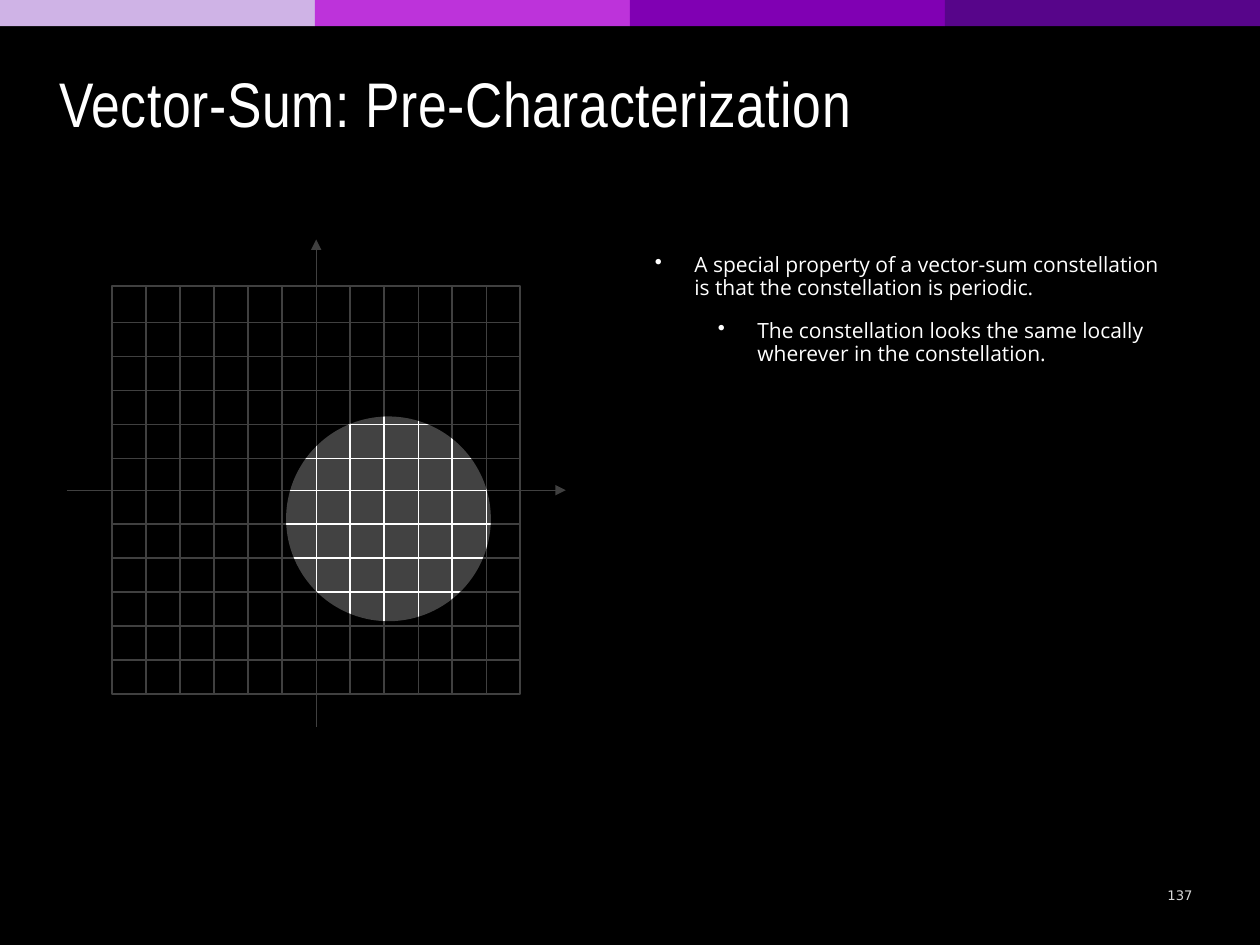
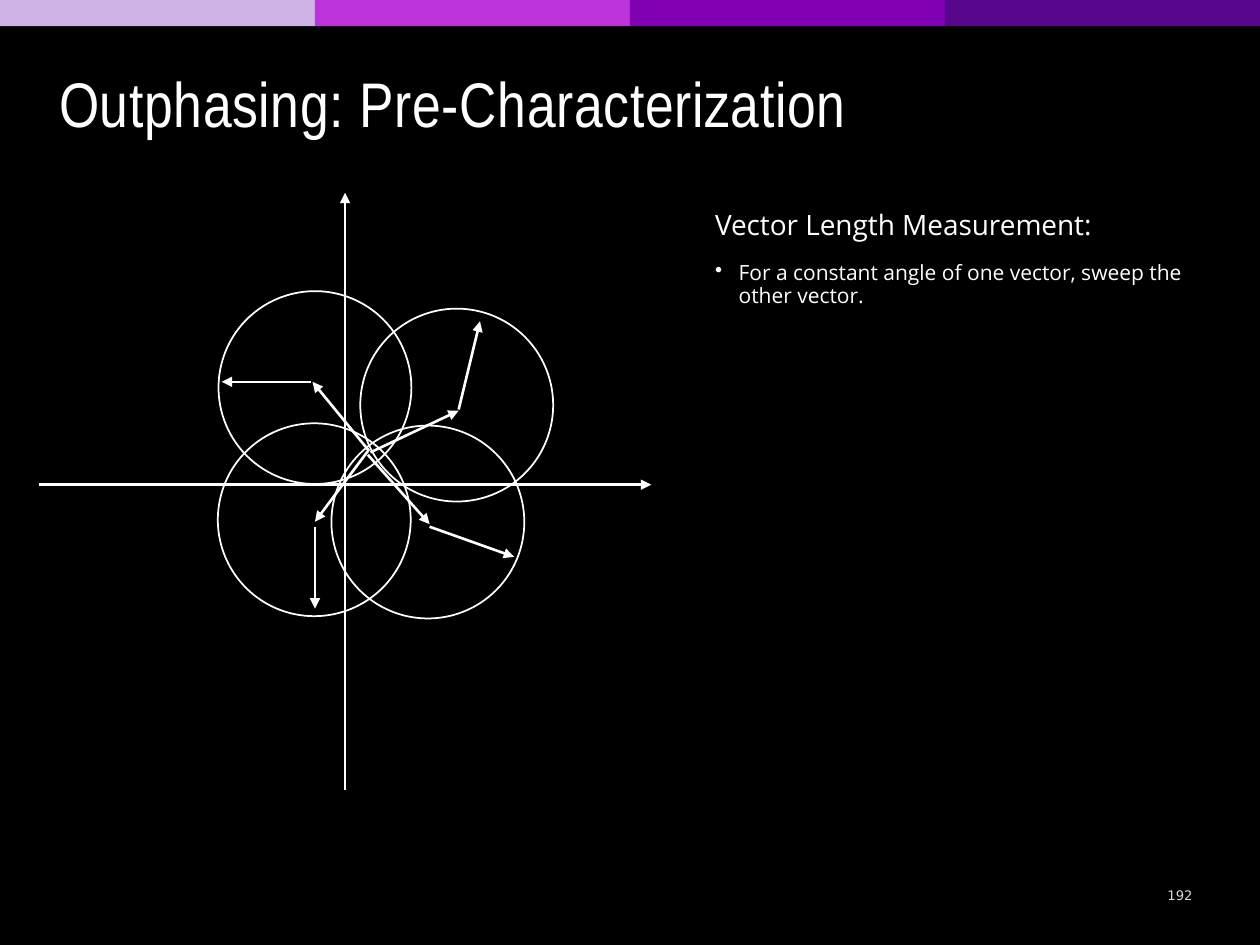
from dataclasses import dataclass
from math import cos, pi, sin

from lxml import etree
from pptx import Presentation
from pptx.dml.color import RGBColor
from pptx.enum.shapes import MSO_CONNECTOR, MSO_SHAPE
from pptx.enum.text import MSO_ANCHOR, MSO_AUTO_SIZE, PP_ALIGN
from pptx.oxml.ns import qn
from pptx.shapes.autoshape import Shape
from pptx.slide import Slide
from pptx.text.text import TextFrame
from pptx.util import Pt

STRAIGHT = MSO_CONNECTOR.STRAIGHT
RECTANGLE, OVAL = MSO_SHAPE.RECTANGLE, MSO_SHAPE.OVAL
MIDDLE, BOTTOM = MSO_ANCHOR.MIDDLE, MSO_ANCHOR.BOTTOM
FIT_SHAPE, NO_FIT = MSO_AUTO_SIZE.SHAPE_TO_FIT_TEXT, MSO_AUTO_SIZE.NONE
LEFT, CENTER = PP_ALIGN.LEFT, PP_ALIGN.CENTER

BLACK = RGBColor(0x00, 0x00, 0x00)
WHITE = RGBColor(0xFF, 0xFF, 0xFF)
PAGE_GRAY = RGBColor(0xD9, 0xD9, 0xD9)
BAND_COLORS = (
    RGBColor(0xCF, 0xB3, 0xE6),
    RGBColor(0xBD, 0x33, 0xDA),
    RGBColor(0x80, 0x00, 0xB3),
    RGBColor(0x57, 0x05, 0x8A),
)
TITLE_FONT, BODY_FONT, PAGE_FONT = "Arial Narrow", "Open Sans", "DejaVu Sans"
SLIDE_WIDTH, SLIDE_HEIGHT = 720, 540
TITLE_ONLY = 5

Point = tuple[float, float]


@dataclass(frozen=True)
class Box:
    left: float
    top: float
    width: float
    height: float

    def lengths(self) -> tuple[Pt, ...]:
        return tuple(Pt(v) for v in (self.left, self.top, self.width, self.height))


@dataclass(frozen=True)
class Statement:
    text: str
    size: float = 12
    indent: float = 0
    hang: float = 0
    level: int = 0


@dataclass(frozen=True)
class VectorPair:
    circle: Point
    first: tuple[Point, Point]
    second: tuple[Point, Point]


CIRCLE_SIZE = 110.2
VECTOR_PAIRS = (
    VectorPair((205.9, 176.4), ((211.7, 258.5), (262.1, 234.7)), ((262.1, 234), (274.3, 183.6))),
    VectorPair((124.9, 166.4), ((211, 257.8), (178.6, 218.2)), ((177.8, 218.2), (126.7, 218.2))),
    VectorPair((124.5, 241.9), ((210.2, 257.8), (180, 298.1)), ((180, 301), (180, 347.8))),
    VectorPair((189.4, 243.2), ((210.2, 259.9), (245.5, 299.5)), ((245.5, 301), (293.8, 318.2))),
)


# Text
def write(frame: TextFrame, text: str, *, size: float, font: str = BODY_FONT,
          color: RGBColor = WHITE, align: PP_ALIGN = LEFT, level: int = 0,
          indent: float = 0, hang: float = 0, line_spacing: float = 1,
          space_before: float = 0, tracking: int = 0) -> None:
    """Fill the empty first paragraph, or add one after it."""
    first = not frame.text
    paragraph = frame.paragraphs[0] if first else frame.add_paragraph()
    if hang:
        properties = paragraph._p.get_or_add_pPr()
        properties.set("marL", str(Pt(indent)))
        properties.set("indent", str(-Pt(hang)))
        etree.SubElement(properties, qn("a:buChar")).set("char", "•")
    paragraph.level = level
    paragraph.alignment = align
    paragraph.line_spacing = line_spacing
    paragraph.space_before = Pt(0 if first else space_before)
    run = paragraph.add_run()
    run.text = text
    run.font.name, run.font.size = font, Pt(size)
    run.font.color.rgb = color
    if tracking:
        run._r.get_or_add_rPr().set("spc", str(tracking))


def add_statements(slide: Slide, box: Box, statements: tuple[Statement, ...]) -> None:
    frame = slide.shapes.add_textbox(*box.lengths()).text_frame
    frame.word_wrap = True
    frame.auto_size = FIT_SHAPE
    for item in statements:
        write(frame, item.text, size=item.size, level=item.level, indent=item.indent,
              hang=item.hang, line_spacing=0.9, space_before=12)


# Shapes and lines
def paint(shape: Shape, fill: RGBColor | None = None, opacity: int = 100,
          line: RGBColor | None = None) -> None:
    shape.shadow.inherit = False
    if fill is None:
        shape.fill.background()
    else:
        shape.fill.solid()
        shape.fill.fore_color.rgb = fill
        if opacity < 100:
            color = shape._element.spPr.find(f"{qn('a:solidFill')}/{qn('a:srgbClr')}")
            etree.SubElement(color, qn("a:alpha")).set("val", str(opacity * 1000))
    if line is None:
        shape.line.fill.background()
    else:
        shape.line.color.rgb = line
        shape.line.width = Pt(1)


def add_line(slide: Slide, start: Point, end: Point, width: float = 1,
             arrow: bool = False) -> None:
    connector = slide.shapes.add_connector(STRAIGHT, *(Pt(v) for v in (*start, *end)))
    connector.line.color.rgb = WHITE
    connector.line.width = Pt(width)
    properties = connector._element.spPr
    if arrow:
        etree.SubElement(properties.find(qn("a:ln")), qn("a:tailEnd")).set("type", "triangle")
    etree.SubElement(properties, qn("a:effectLst"))


def add_axes(slide: Slide, origin: Point, x_range: Point, y_range: Point,
             width: float) -> None:
    x, y = origin
    add_line(slide, (x_range[0], y), (x_range[1], y), width, arrow=True)
    add_line(slide, (x, y_range[0]), (x, y_range[1]), width, arrow=True)


# Parts that both slides share
def add_slide(prs: Presentation, title: str, page: str) -> Slide:
    slide = prs.slides.add_slide(prs.slide_layouts[TITLE_ONLY])
    band_width = SLIDE_WIDTH / len(BAND_COLORS)
    for i, color in enumerate(BAND_COLORS):
        band = slide.shapes.add_shape(
            RECTANGLE, *Box(i * band_width, 0, band_width, 15).lengths())
        paint(band, color)

    heading = slide.shapes.title
    heading.left, heading.top, heading.width, heading.height = Box(33.8, 36, 622, 47.5).lengths()
    frame = heading.text_frame
    frame.margin_left, frame.margin_right = Pt(0), Pt(7.2)
    frame.margin_top = frame.margin_bottom = Pt(3.6)
    frame.vertical_anchor = BOTTOM
    frame.auto_size = NO_FIT
    frame.word_wrap = True
    write(frame, title, size=36, font=TITLE_FONT, tracking=40)

    number = slide.shapes.add_textbox(*Box(658.1, 501.8, 32.4, 19.4).lengths()).text_frame
    number.word_wrap = True
    number.vertical_anchor = MIDDLE
    write(number, page, size=7.5, font=PAGE_FONT, color=PAGE_GRAY, align=CENTER)
    return slide


# Constellation grid
def add_grid(slide: Slide, box: Box) -> None:
    paint(slide.shapes.add_shape(RECTANGLE, *box.lengths()), line=WHITE)
    right, bottom = box.left + box.width, box.top + box.height
    step = box.width / 12
    for first_row in (184.3, 299.5):
        for i in range(5):
            y = first_row + i * step
            add_line(slide, (box.left, y), (right, y))
    for i in range(1, 12):
        if i != 6:  # the vertical axis stands here
            x = box.left + i * step
            add_line(slide, (x, box.top), (x, bottom))


def add_spotlight(slide: Slide, shade: Box, lens: Box) -> None:
    """Dim everything in the shade except a round lens."""
    radius = lens.width / 2
    center_x, center_y = lens.left + radius, lens.top + radius
    rim = [(Pt(center_x + radius * cos(2 * pi * i / 120)),
            Pt(center_y + radius * sin(2 * pi * i / 120))) for i in range(120)]
    left, top, width, height = shade.lengths()
    right, bottom = left + width, top + height
    builder = slide.shapes.build_freeform(*rim[0])
    builder.add_line_segments(rim[1:], close=True)
    builder.move_to(left, top)
    builder.add_line_segments([(right, top), (right, bottom), (left, bottom)], close=True)
    paint(builder.convert_to_shape(), BLACK, opacity=75)
    paint(slide.shapes.add_shape(OVAL, *lens.lengths()), WHITE, opacity=26)


def build_vector_sum(prs: Presentation) -> None:
    slide = add_slide(prs, "Vector-Sum: Pre-Characterization", "137")
    add_axes(slide, (180.7, 280.1), (38.2, 323.3), (415.4, 136.8), 0.75)
    add_grid(slide, Box(64.1, 163.4, 233.3, 233.3))
    add_spotlight(slide, Box(33.8, 100.1, 376.6, 379), Box(163.5, 238, 117, 117))
    add_statements(slide, Box(367.2, 141.8, 313.9, 77.8), (
        Statement("A special property of a vector-sum constellation is that the "
                  "constellation is periodic.", indent=22.5, hang=22.5),
        Statement("The constellation looks the same locally wherever in the "
                  "constellation.", indent=58.5, hang=22.5, level=1),
    ))


def build_outphasing(prs: Presentation) -> None:
    slide = add_slide(prs, "Outphasing: Pre-Characterization", "192")
    add_axes(slide, (197.2, 277), (22.3, 372.2), (451.4, 110.2), 1.5)
    for pair in VECTOR_PAIRS:
        circle = Box(*pair.circle, CIRCLE_SIZE, CIRCLE_SIZE)
        paint(slide.shapes.add_shape(OVAL, *circle.lengths()), line=WHITE)
        for start, end in (pair.first, pair.second):
            add_line(slide, start, end, 1.5, arrow=True)
    add_statements(slide, Box(401.5, 117.4, 289.4, 67.7), (
        Statement("Vector Length Measurement:", size=16),
        Statement("For a constant angle of one vector, sweep the other vector.",
                  indent=13.5, hang=13.5),
    ))


def main() -> None:
    prs = Presentation()
    prs.slide_width, prs.slide_height = Pt(SLIDE_WIDTH), Pt(SLIDE_HEIGHT)
    background = prs.slide_master.background.fill
    background.solid()
    background.fore_color.rgb = BLACK
    build_vector_sum(prs)
    build_outphasing(prs)
    prs.save("out.pptx")


if __name__ == "__main__":
    main()
